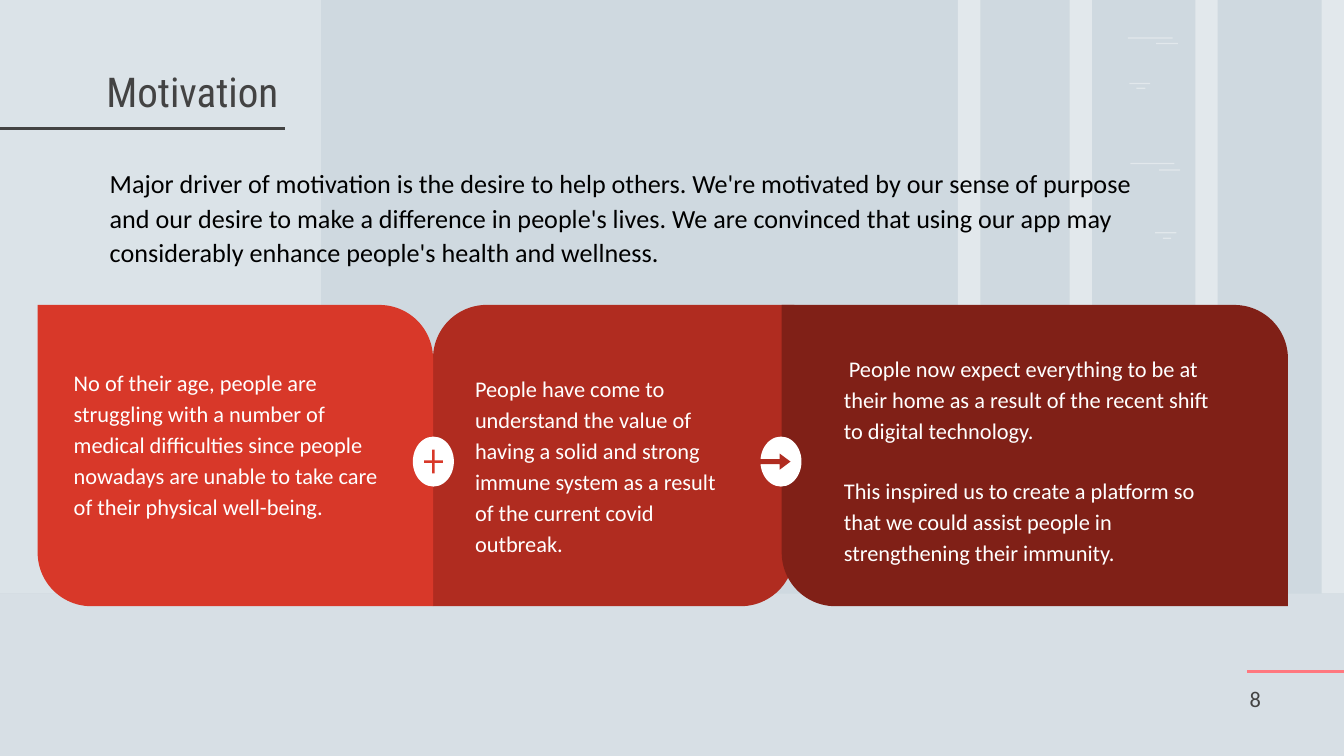
from lxml import etree
from pptx import Presentation
from pptx.dml.color import RGBColor
from pptx.enum import shapes, text
from pptx.oxml.ns import qn
from pptx.util import Pt

THEME = {
    "background": "CFD9E0", "white": "FFFFFF", "dark": "434343", "black": "000000",
    "accent": "FF787F", "red": "D83829", "deep": "B02C20", "maroon": "802017",
    "body": "Calibri", "heading": "Roboto Condensed",
    "title_size": 22, "intro_size": 14, "card_size": 12,
}
KIND = shapes.MSO_SHAPE
ANCHOR = text.MSO_ANCHOR
ALIGN = text.PP_ALIGN

WIDTH, HEIGHT, FLOOR = 720, 405, 318
BAR_LEFTS, BAR_WIDTH = (513.2, 573, 640.4, 708), 12
DASHES = [
    (604.2, 20, 24), (619.4, 23, 11.6), (605.6, 87.2, 23.6), (621, 90.8, 11.2),
    (605, 44.4, 11.2), (608.8, 47, 4.8), (618.8, 124.4, 11.4), (623, 127.3, 4.4),
]
DASH_HEIGHT = 0.7
RULES = [(0, 152.6, 68.8, "dark"), (668.2, WIDTH, 359.8, "accent")]

INTRO = (
    "Major driver of motivation is the desire to help others. We're motivated by our sense of purpose "
    "and our desire to make a difference in people's lives. We are convinced that using our app may "
    "considerably enhance people's health and wellness."
)
CARD_TOP, CARD_HEIGHT, CORNER = 163.4, 161.4, 0.178
CARDS = [
    {"left": 232, "width": 193.6, "color": "deep", "corners": (CORNER, 0),
     "box": (247.4, 191.8, 153.4, 105),
     "paragraphs": ["People have come to understand the value of having a solid and strong immune system "
                    "as a result of the current covid outbreak."]},
    {"left": 20.2, "width": 211.8, "color": "red", "corners": (0, CORNER),
     "box": (32.4, 188.6, 184.4, 104.4),
     "paragraphs": ["No of their age, people are struggling with a number of medical difficulties since "
                    "people nowadays are unable to take care of their physical well-being."]},
    {"left": 418.8, "width": 271.2, "color": "maroon", "corners": (0, CORNER),
     "box": (445, 180.8, 218.2, 134.6), "indent": 2.7,
     "paragraphs": ["People now expect everything to be at their home as a result of the recent shift "
                    "to digital technology.",
                    "This inspired us to create a platform so that we could assist people in "
                    "strengthening their immunity."]},
]
BADGE_CENTER, BADGE_SIZE = 247.3, (22, 26.8)
BADGES = [
    {"center": 418.4, "icon": KIND.RIGHT_ARROW, "icon_center": 415.2, "size": (16.6, 8.6),
     "adjust": (0.32, 0.67), "color": "deep"},
    {"center": 232.2, "icon": KIND.MATH_PLUS, "icon_center": 232.2, "size": (13.7, 17.3),
     "adjust": (0.099,), "color": "red"},
]


def color(name):
    return RGBColor.from_string(THEME[name])


def add_block(slide, kind, box, fill, adjust=(), opacity=100):
    shape = slide.shapes.add_shape(kind, *map(Pt, box))
    shape.shadow.inherit = False
    shape.fill.solid()
    shape.fill.fore_color.rgb = color(fill)
    shape.line.fill.background()
    for index, value in enumerate(adjust):
        shape.adjustments[index] = value
    if opacity < 100:
        tone = shape._element.spPr.find(qn("a:solidFill"))[0]
        etree.SubElement(tone, qn("a:alpha"), val=str(opacity * 1000))


def add_centered(slide, kind, center, size, fill, adjust=()):
    width, height = size
    box = (center - width / 2, BADGE_CENTER - height / 2, width, height)
    add_block(slide, kind, box, fill, adjust)


def add_rule(slide, start, end, y, line_color):
    rule = slide.shapes.add_connector(shapes.MSO_CONNECTOR.STRAIGHT, Pt(start), Pt(y), Pt(end), Pt(y))
    rule.line.color.rgb = color(line_color)
    rule.line.width = Pt(1.5)
    etree.SubElement(rule._element.spPr, qn("a:effectLst"))


def add_text(slide, box, paragraphs, size, fill, font="body", anchor=ANCHOR.TOP,
             align=ALIGN.LEFT, spacing=1.0, margin=0, indent=0, gap=16):
    frame = slide.shapes.add_textbox(*map(Pt, box)).text_frame
    frame_format = {"word_wrap": True, "vertical_anchor": anchor}
    frame_format.update({f"margin_{side}": Pt(7.2) for side in ("left", "top", "right", "bottom")})
    for name, value in frame_format.items():
        setattr(frame, name, value)
    for index, content in enumerate(paragraphs):
        paragraph = frame.paragraphs[0] if index == 0 else frame.add_paragraph()
        run = paragraph.add_run()
        run.text = content
        paragraph.alignment = align
        paragraph.line_spacing = spacing
        properties = paragraph._p.get_or_add_pPr()
        properties.set("marL", str(Pt(margin)))
        properties.set("indent", str(Pt(indent if index == 0 else 0)))
        if index:
            paragraph.space_before = Pt(gap)
        for name, value in {"name": THEME[font], "size": Pt(size)}.items():
            setattr(run.font, name, value)
        run.font.color.rgb = color(fill)


def main():
    presentation = Presentation()
    presentation.slide_width, presentation.slide_height = Pt(WIDTH), Pt(HEIGHT)
    slide = presentation.slides.add_slide(presentation.slide_layouts[6])
    slide.background.fill.solid()
    slide.background.fill.fore_color.rgb = color("background")

    panels = [((left, 0, BAR_WIDTH, FLOOR), 40) for left in BAR_LEFTS]
    panels += [((left, top, width, DASH_HEIGHT), 40) for left, top, width in DASHES]
    panels += [((0, 0, 172, FLOOR), 27), ((0, FLOOR, WIDTH, HEIGHT - FLOOR), 17)]
    for box, opacity in panels:
        add_block(slide, KIND.RECTANGLE, box, "white", opacity=opacity)
    for rule in RULES:
        add_rule(slide, *rule)

    add_text(slide, (662.4, 357.8, 55.4, 31), ["8"], THEME["card_size"], "dark", anchor=ANCHOR.BOTTOM)
    add_text(slide, (0, 10, 156.2, 59), ["Motivation"], THEME["title_size"], "dark", "heading",
             ANCHOR.BOTTOM, ALIGN.RIGHT)
    add_text(slide, (36.7, 68.4, 599.8, 95), [INTRO], THEME["intro_size"], "black",
             anchor=ANCHOR.MIDDLE, spacing=1.1, margin=15)

    for card in CARDS:
        box = (card["left"], CARD_TOP, card["width"], CARD_HEIGHT)
        add_block(slide, KIND.ROUND_2_DIAG_RECTANGLE, box, card["color"], card["corners"])
        add_text(slide, card["box"], card["paragraphs"], THEME["card_size"], "white",
                 spacing=1.15, indent=card.get("indent", 0))
    for badge in BADGES:
        add_centered(slide, KIND.OVAL, badge["center"], BADGE_SIZE, "white")
        add_centered(slide, badge["icon"], badge["icon_center"], badge["size"], badge["color"],
                     badge["adjust"])
    presentation.save("out.pptx")


if __name__ == "__main__":
    main()
